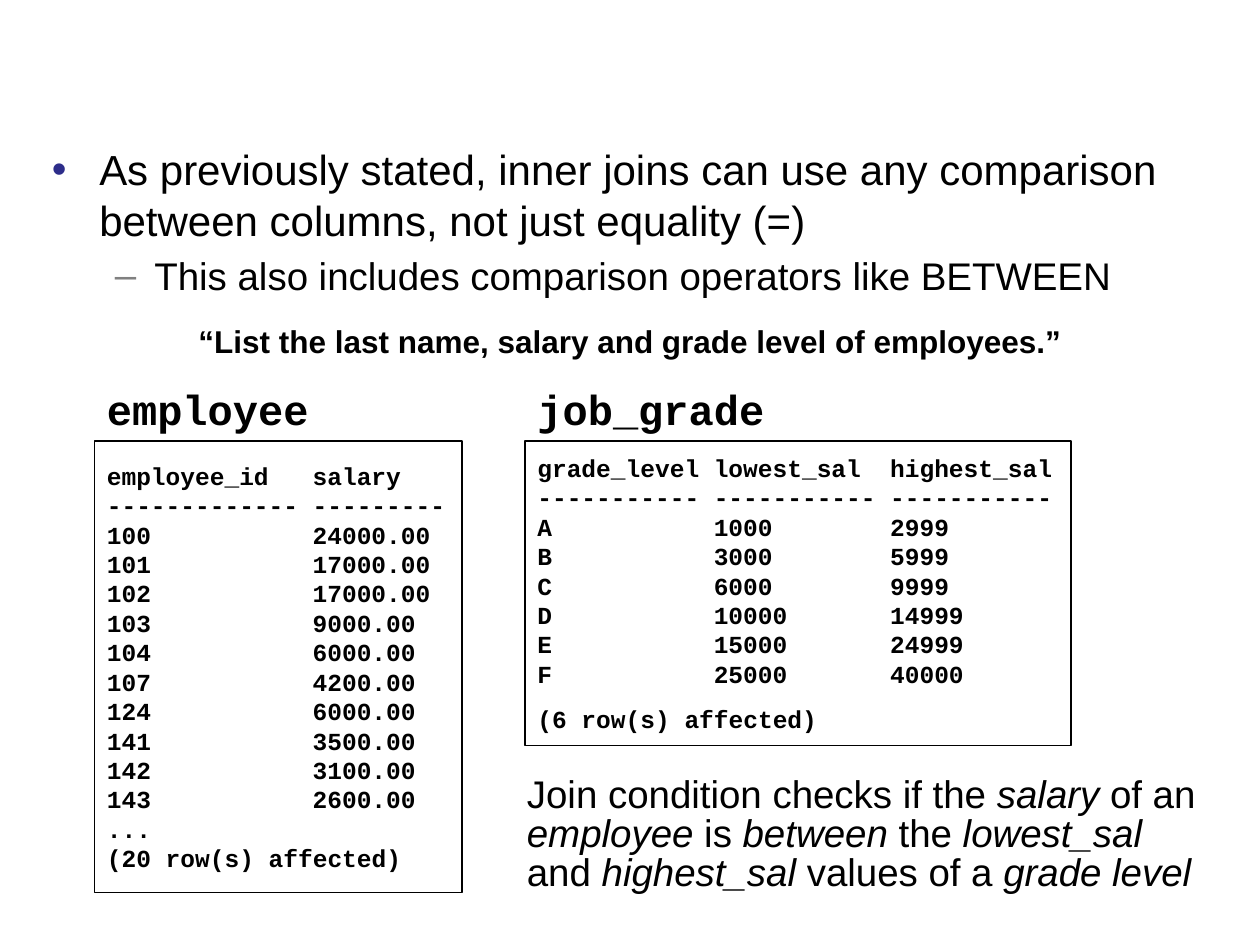
import pptx
import pptx.util
import pptx.dml.color
import pptx.enum.shapes
import pptx.enum.text
import pptx.oxml
import pptx.oxml.ns

Pt = pptx.util.Pt
COLOURS = {"text": "000000", "bullet": "2D2D8A", "dash": "808080"}
SANS, MONO = "Arial", "Courier New"
CHARACTER_WIDTH = 8.4  # of the 14 pt monospaced font

POINTS = [
    # text, size, left margin, hanging indent, bullet, bullet colour
    ("As previously stated, inner joins can use any comparison between columns, "
     "not just equality (=)", 24, 27, 27, "•", "bullet"),
    ("This also includes comparison operators like BETWEEN", 22, 58.5, 22.5, "–", "dash"),
]
EMPLOYEE_ROWS = [
    ("employee_id", "salary"), ("-" * 13, "-" * 9),
    ("100", "24000.00"), ("101", "17000.00"), ("102", "17000.00"),
    ("103", "9000.00"), ("104", "6000.00"), ("107", "4200.00"),
    ("124", "6000.00"), ("141", "3500.00"), ("142", "3100.00"),
    ("143", "2600.00"), ("...",), ("(20 row(s) affected)",),
]
GRADE_ROWS = [
    ("grade_level", "lowest_sal", "highest_sal"), ("-" * 11,) * 3,
    ("A", "1000", "2999"), ("B", "3000", "5999"), ("C", "6000", "9999"),
    ("D", "10000", "14999"), ("E", "15000", "24999"), ("F", "25000", "40000"),
    ("(6 row(s) affected)",),
]
# Every second span is italic.
CONDITION = ["Join condition checks if the ", "salary", " of an ", "employee", " is ",
             "between", " the ", "lowest_sal", " and ", "highest_sal",
             " values of a ", "grade level"]


def colour(name):
    return pptx.dml.color.RGBColor.from_string(COLOURS[name])


def format_spans(para, font, size, bold=False):
    for span in para.runs:
        span.font.name = font
        span.font.size = Pt(size)
        span.font.bold = bold
        span.font.color.rgb = colour("text")


def set_bullet(para, left, hanging, character, colour_name):
    properties = para._p.get_or_add_pPr()
    properties.set("marL", str(Pt(left)))
    properties.set("indent", str(-Pt(hanging)))
    namespace = pptx.oxml.ns.nsdecls("a")
    for xml in (
        f'<a:buClr {namespace}><a:srgbClr val="{COLOURS[colour_name]}"/></a:buClr>',
        f'<a:buChar {namespace} char="{character}"/>',
    ):
        properties.append(pptx.oxml.parse_xml(xml))


def set_tabs(para, positions):
    """Add left tab stops, given in points."""
    stops = "".join(f'<a:tab pos="{Pt(position)}" algn="l"/>' for position in positions)
    para._p.get_or_add_pPr().append(pptx.oxml.parse_xml(
        f'<a:tabLst {pptx.oxml.ns.nsdecls("a")}>{stops}</a:tabLst>'))


def fill_body(page):
    body = page.placeholders[1]
    body.left, body.top, body.width, body.height = Pt(22.5), Pt(78.5), Pt(675), Pt(107)
    frame = body.text_frame
    frame.auto_size = pptx.enum.text.MSO_AUTO_SIZE.NONE
    frame.text = "\n".join(point[0] for point in POINTS)
    for level, (para, point) in enumerate(zip(frame.paragraphs, POINTS)):
        para.level = level
        para.space_before = Pt(point[1] * 0.2)
        format_spans(para, SANS, point[1])
        set_bullet(para, *point[2:])


def add_text(page, left, top, width, height, spans, font, size, bold=False):
    """Add a one-paragraph text box in which every second span is italic."""
    box = page.shapes.add_textbox(Pt(left), Pt(top), Pt(width), Pt(height))
    box.text_frame.word_wrap = True
    para = box.text_frame.paragraphs[0]
    for index, text in enumerate(spans):
        span = para.add_run()
        span.text = text
        span.font.italic = index % 2 == 1
    format_spans(para, font, size, bold)
    return para


def add_listing(page, left, width, height, name, rows, column_characters, last_gap=0):
    """Add a framed query result below the name of its table."""
    add_text(page, left, 215.5, width, 36.5, [name], MONO, 24, bold=True)
    box = page.shapes.add_shape(pptx.enum.shapes.MSO_SHAPE.RECTANGLE,
                                Pt(left), Pt(252), Pt(width), Pt(height))
    box.shadow.inherit = False
    box.fill.background()
    box.line.color.rgb = colour("text")
    box.line.width = Pt(0.75)
    frame = box.text_frame
    frame.word_wrap = True
    frame.vertical_anchor = pptx.enum.text.MSO_ANCHOR.MIDDLE
    frame.text = "\n".join("\t".join(row) for row in rows)
    stops = [column * column_characters * CHARACTER_WIDTH
             for column in range(1, len(rows[0]))]
    for para in frame.paragraphs:
        para.alignment = pptx.enum.text.PP_ALIGN.LEFT
        format_spans(para, MONO, 14, bold=True)
        set_tabs(para, stops)
    frame.paragraphs[-1].space_before = Pt(last_gap)


def main():
    deck = pptx.Presentation()
    deck.slide_width, deck.slide_height = Pt(720), Pt(540)
    page = deck.slides.add_slide(deck.slide_layouts[1])
    title = page.shapes.title
    title.element.getparent().remove(title.element)

    fill_body(page)
    question = add_text(page, 96, 184, 528, 26,
                        ["“List the last name, salary and grade level of employees.”"],
                        SANS, 18, bold=True)
    question.alignment = pptx.enum.text.PP_ALIGN.CENTER
    add_listing(page, 54, 210, 258, "employee", EMPLOYEE_ROWS, 14)
    add_listing(page, 300, 312, 174, "job_grade", GRADE_ROWS, 12, last_gap=9)
    condition = add_text(page, 294, 440.5, 408, 75.5, CONDITION, SANS, 22)
    for para in (question, condition):
        para.line_spacing = 0.85
    deck.save("out.pptx")


if __name__ == "__main__":
    main()
